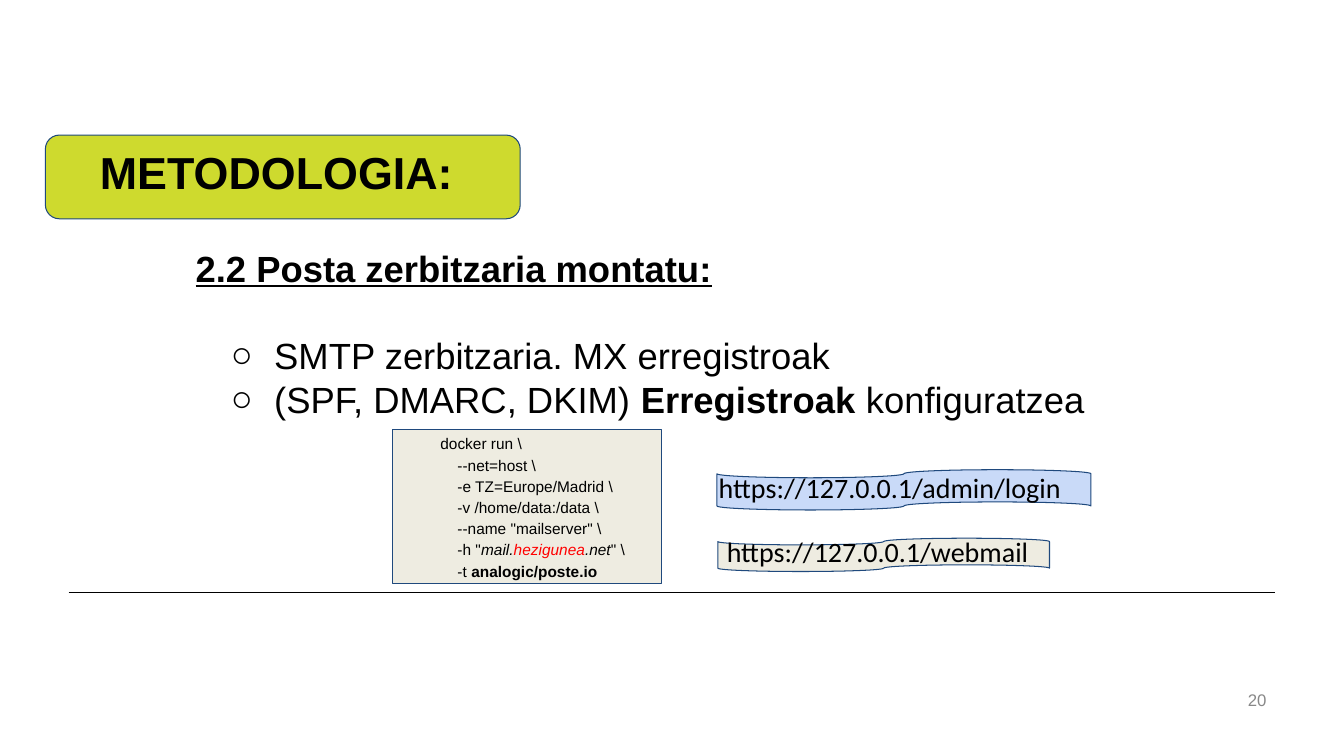
from lxml import etree
from pptx import Presentation
from pptx.dml.color import RGBColor
from pptx.enum.shapes import MSO_CONNECTOR, MSO_SHAPE
from pptx.enum.text import MSO_ANCHOR, MSO_AUTO_SIZE, PP_ALIGN
from pptx.oxml.ns import qn
from pptx.util import Inches, Pt

RECT, ROUND, TAPE = MSO_SHAPE.RECTANGLE, MSO_SHAPE.ROUNDED_RECTANGLE, MSO_SHAPE.FLOWCHART_PUNCHED_TAPE
TOP, MIDDLE = MSO_ANCHOR.TOP, MSO_ANCHOR.MIDDLE
LEFT, RIGHT = PP_ALIGN.LEFT, PP_ALIGN.RIGHT

THEME = {
    "ink": "000000", "grey": "888888", "red": "FF0000", "edge": "1F497D",
    "lime": "CEDA2E", "sand": "EEECE1", "sky": "C9DAF8",
    "title": 32, "body": 26, "url": 20, "number": 12, "code": 11,
    "font": "Arial", "url_font": "Calibri", "line": 0.75,
}
BOLD, ITALIC = {"bold": True}, {"italic": True}

TITLE = [[("METODOLOGIA:", BOLD)]]
HEADING = [("2.2 Posta zerbitzaria montatu:", {"bold": True, "underline": True})]
BULLETS = [
    [("SMTP zerbitzaria. MX erregistroak", {})],
    [("(SPF, DMARC, DKIM) ", {}), ("Erregistroak ", BOLD), ("konfiguratzea", {})],
]
COMMAND = [
    [("docker run \\", {})],
    [("    --net=host \\", {})],
    [("    -e TZ=Europe/Madrid \\", {})],
    [("    -v /home/data:/data \\", {})],
    [('    --name "mailserver" \\', {})],
    [('    -h "', {}), ("mail.", ITALIC), ("hezigunea", {"italic": True, "color": "red"}),
     (".net", ITALIC), ('" \\', {})],
    [("    -t ", {}), ("analogic/poste.io", BOLD)],
]
URLS = [
    ("https://127.0.0.1/admin/login", (52.74, 61.73, 38.26, 5.33)),
    ("https://127.0.0.1/webmail", (53.34, 70.27, 38.26, 5.33)),
]
NUMBER = [[("20", {"color": "grey"})]]

# percent = share of the slide's width or height
PANELS = [
    (TAPE, "sand", (53.41, 71.2, 24.68, 4.4)),
    (TAPE, "sky", (53.34, 62.13, 27.83, 5.33)),
    (RECT, "sand", (29.18, 56.8, 20.03, 20.4)),
    (ROUND, "lime", (3.38, 17.87, 35.33, 11.07)),
]
TITLE_BOX = (6.68, 17.87, 62.04, 9.33)
BODY_BOX = (10.05, 31.87, 83.8, 24)
CODE_BOX = (28.28, 58.4, 20.03, 17.07)
NUMBER_BOX = (71.64, 89.87, 23.33, 5.33)
RULE = (5.1, 78.4, 94.9, 78.4)

prs = Presentation()
prs.slide_width, prs.slide_height = Inches(13.33), Inches(7.5)


def emu(box):
    sides = (prs.slide_width, prs.slide_height) * 2
    return [int(share * side / 100) for share, side in zip(box, sides)]


def rgb(name):
    return RGBColor.from_string(THEME[name])


def place(sp, box):
    for name, value in zip(("left", "top", "width", "height"), emu(box)):
        setattr(sp, name, value)


def set_bullet(p, char, margin, indent):
    pPr = p._p.get_or_add_pPr()
    pPr.set("marL", str(Inches(margin)))
    pPr.set("indent", str(Inches(indent)))
    if char:
        clr = etree.SubElement(etree.SubElement(pPr, qn("a:buClr")), qn("a:srgbClr"))
        clr.set("val", THEME["ink"])
        etree.SubElement(pPr, qn("a:buFont")).set("typeface", THEME["font"])
        etree.SubElement(pPr, qn("a:buChar")).set("char", char)
    else:
        etree.SubElement(pPr, qn("a:buNone"))


def write(sp, lines, size, anchor=MIDDLE, align=LEFT, inset=0.1, font="font", spacing=1.0):
    tf = sp.text_frame
    frame = {"word_wrap": True, "auto_size": MSO_AUTO_SIZE.NONE, "vertical_anchor": anchor,
             "margin_left": Inches(0.1), "margin_right": Inches(0.1),
             "margin_top": Inches(inset), "margin_bottom": Inches(inset)}
    for name, value in frame.items():
        setattr(tf, name, value)
    for i, runs in enumerate(lines):
        p = tf.add_paragraph() if i else tf.paragraphs[0]
        p.alignment, p.line_spacing, p.space_before = align, spacing, Pt(0)
        for text, style in runs:
            r = p.add_run()
            r.text = text
            r.font.color.rgb = rgb(style.get("color", "ink"))
            look = {"name": THEME[font], "size": Pt(THEME[size]), **style}
            look.pop("color", None)
            for name, value in look.items():
                setattr(r.font, name, value)
    return tf.paragraphs


def add_text(box, lines, size, **options):
    return write(s.shapes.add_textbox(*emu(box)), lines, size, **options)


s = prs.slides.add_slide(prs.slide_layouts[1])
title, body = s.shapes.title, s.placeholders[1]

rule = s.shapes.add_connector(MSO_CONNECTOR.STRAIGHT, *emu(RULE))
rule.line.color.rgb = rgb("ink")
rule.line.width = Pt(THEME["line"])
etree.SubElement(rule._element.spPr, qn("a:effectLst"))

for kind, fill, box in PANELS:
    sp = s.shapes.add_shape(kind, *emu(box))
    sp.shadow.inherit = False
    sp.fill.solid()
    sp.fill.fore_color.rgb = rgb(fill)
    sp.line.color.rgb = rgb("edge")
    sp.line.width = Pt(THEME["line"])

for sp, box in ((title, TITLE_BOX), (body, BODY_BOX)):
    place(sp, box)
    s.shapes._spTree.append(sp._element)

write(title, TITLE, "title", anchor=TOP)
heading, *bullets = write(body, [HEADING, *BULLETS], "body", anchor=TOP, inset=0.05)
set_bullet(heading, None, 0.5, 0)
heading.space_after = Pt(31)
for p in bullets:
    set_bullet(p, "○", 1.28, -0.43)

for p in add_text(CODE_BOX, COMMAND, "code", spacing=1.15):
    set_bullet(p, None, 0.5, 0)
for url, box in URLS:
    add_text(box, [[(url, {})]], "url", font="url_font")
add_text(NUMBER_BOX, NUMBER, "number", align=RIGHT, inset=0.05)

prs.save("out.pptx")
